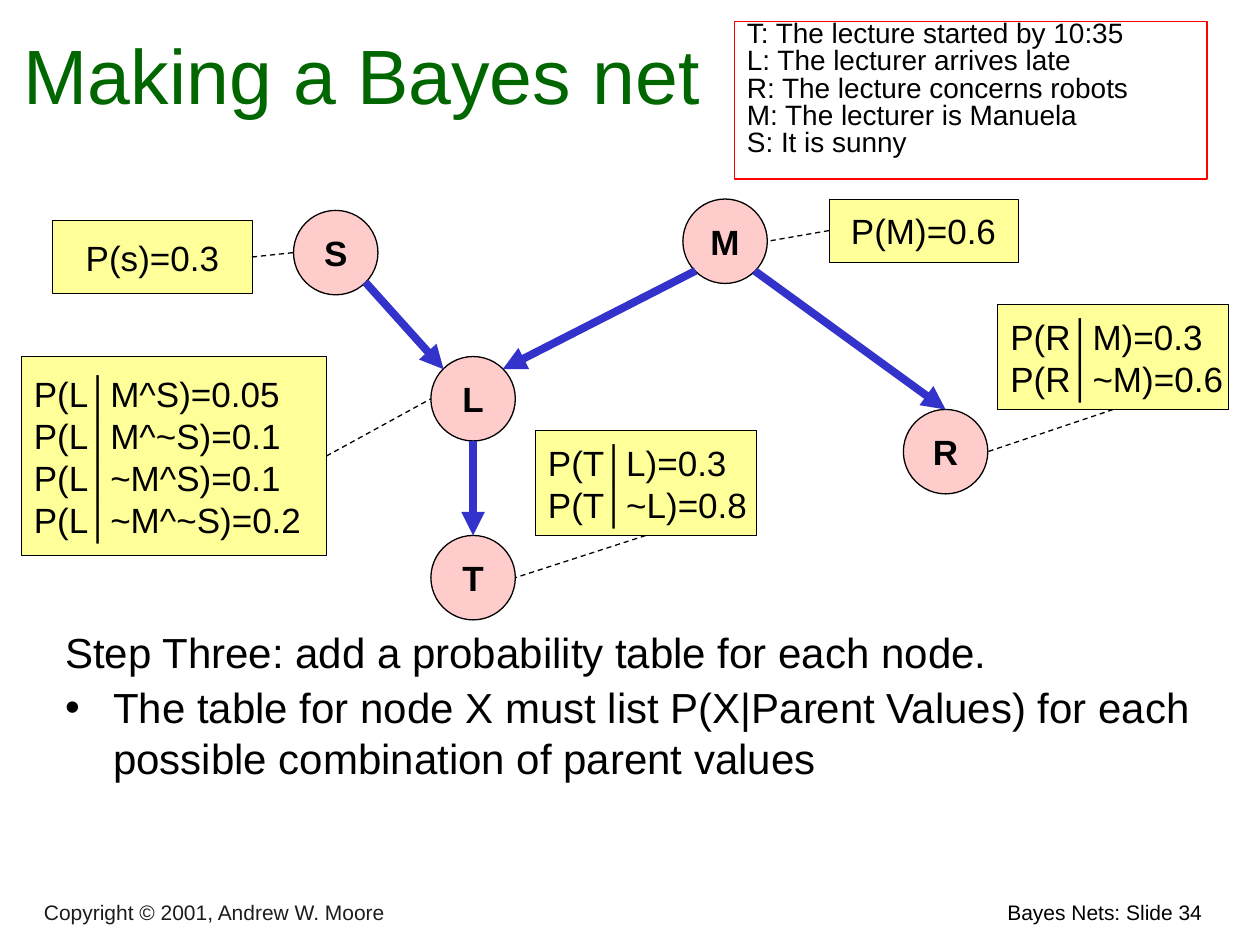
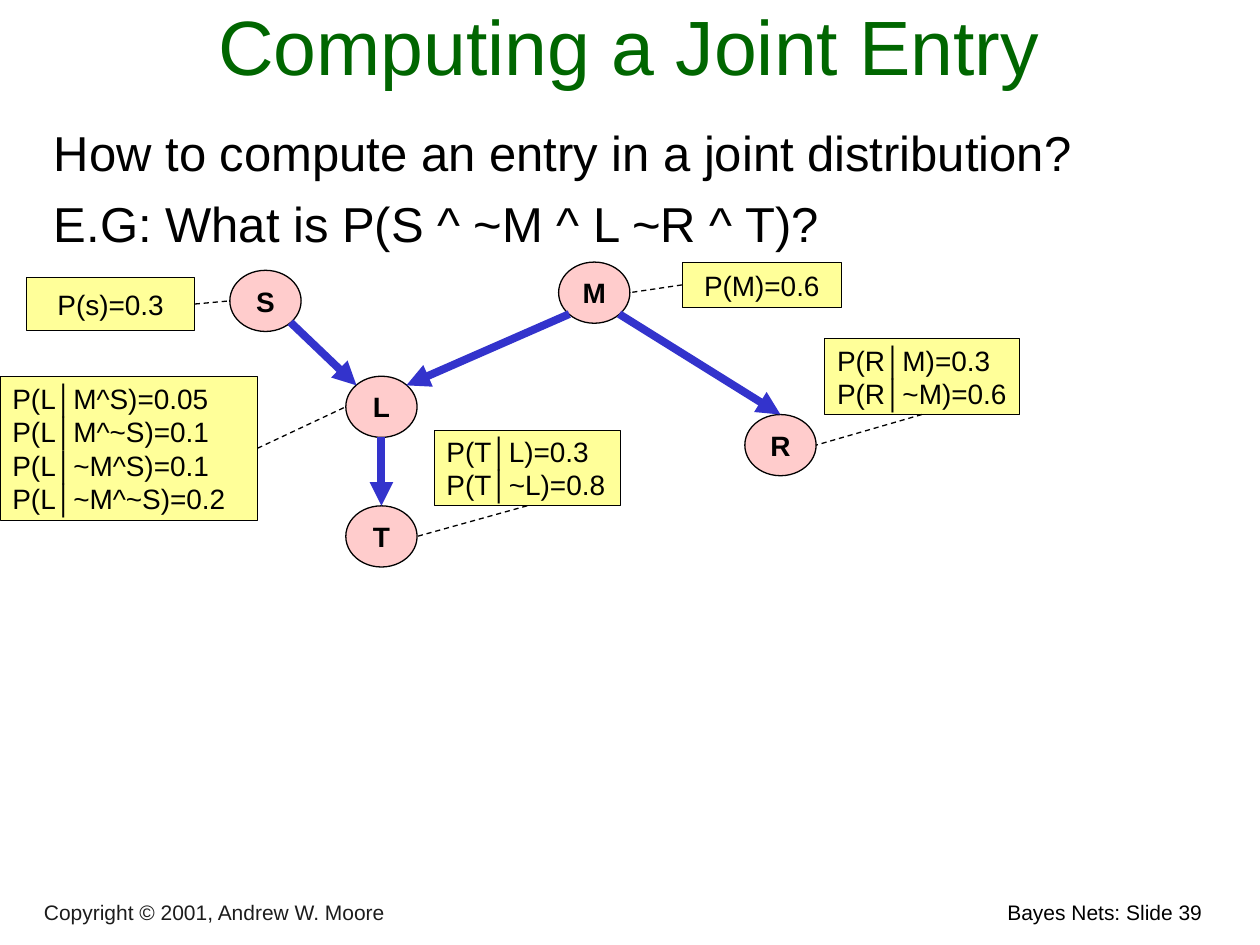
"""Build two slides that explain a Bayes net and its probability tables."""
from dataclasses import dataclass

from lxml.etree import SubElement
from pptx import Presentation
from pptx.dml.color import RGBColor
from pptx.enum.dml import MSO_LINE
from pptx.enum.shapes import MSO_CONNECTOR, MSO_SHAPE
from pptx.enum.text import MSO_ANCHOR, PP_ALIGN
from pptx.oxml.ns import qn
from pptx.util import Inches, Pt


@dataclass(frozen=True)
class Theme:
    face: str = "Arial"
    ink: str = "000000"
    title: str = "006600"
    credit: str = "1C1C1C"
    node: str = "FFCCCC"
    table: str = "FFFF99"
    arrow: str = "3333CC"
    key: str = "FF0000"
    title_size: int = 44
    foot_size: int = 12
    key_size: int = 16
    step_size: int = 24
    ask_size: int = 28


THEME = Theme()
LEFT, CENTER, RIGHT = PP_ALIGN.LEFT, PP_ALIGN.CENTER, PP_ALIGN.RIGHT

FRAME = (0.17, 1.58, 9.58, 3.34)
SMALL = (0, 2.08, 8.09, 2.42)
SIDE = 0.67
NODES = {
    "S": (2.33, 1.67),
    "M": (5.42, 1.58),
    "R": (7.17, 3.25),
    "L": (3.42, 2.83),
    "T": (3.42, 4.25),
}
TABLES = {
    "S": ((0.42, 1.75, 1.58, 0.58), ["P(s)=0.3"]),
    "M": ((6.58, 1.58, 1.5, 0.5), ["P(M)=0.6"]),
    "R": ((7.92, 2.42, 1.83, 0.83), ["P(R│M)=0.3", "P(R│~M)=0.6"]),
    "T": ((4.25, 3.42, 1.75, 0.83), ["P(T│L)=0.3", "P(T│~L)=0.8"]),
    "L": ((0.17, 2.83, 2.42, 1.58),
          ["P(L│M^S)=0.05", "P(L│M^~S)=0.1", "P(L│~M^S)=0.1", "P(L│~M^~S)=0.2"]),
}
NEAR, FAR = 0.15, 0.85
TOP, BASE, WEST, EAST = (0.5, 0), (0.5, 1), (0, 0.5), (1, 0.5)
ARROWS = [
    ("S", (FAR, FAR), "L", (NEAR, NEAR)),
    ("M", (NEAR, FAR), "L", (FAR, NEAR)),
    ("M", (FAR, FAR), "R", TOP),
    ("L", BASE, "T", TOP),
]
LEADS = {
    "T": (BASE, EAST),
    "R": (BASE, EAST),
    "M": (WEST, EAST),
    "S": (EAST, WEST),
    "L": (EAST, WEST),
}


def color(code):
    return RGBColor.from_string(code)


def place(box):
    return [Inches(value) for value in box]


def write(shape, lines, size, ink=THEME.ink, align=LEFT, anchor=MSO_ANCHOR.TOP,
          bold=False, gap=0, pitch=None, dots=()):
    frame = shape.text_frame
    frame.word_wrap = True
    frame.vertical_anchor = anchor
    for index, line in enumerate(lines):
        para = frame.paragraphs[0] if index == 0 else frame.add_paragraph()
        para.text = line
        para.alignment = align
        if index and gap:
            para.space_before = Pt(gap)
        if pitch:
            para.line_spacing = pitch
        if index in dots:
            add_dot(para)
        font = para.font
        font.name, font.size, font.bold = THEME.face, Pt(size), bold
        font.color.rgb = color(ink)


def add_dot(para):
    props = para._p.get_or_add_pPr()
    props.set("marL", str(Inches(0.38)))
    props.set("indent", str(-Inches(0.38)))
    SubElement(props, qn("a:buFont"), typeface=THEME.face)
    SubElement(props, qn("a:buChar"), char="•")


def add_text(slide, box, lines, size, **style):
    write(slide.shapes.add_textbox(*place(box)), lines, size, **style)


def add_box(slide, kind, box, fill, edge, width):
    shape = slide.shapes.add_shape(kind, *place(box))
    shape.shadow.inherit = False
    if fill:
        shape.fill.solid()
        shape.fill.fore_color.rgb = color(fill)
    else:
        shape.fill.background()
    shape.line.color.rgb = color(edge)
    shape.line.width = Pt(width)
    return shape


def add_node(slide, box, name, size):
    node = add_box(slide, MSO_SHAPE.OVAL, box, THEME.node, THEME.ink, 0.75)
    frame = node.text_frame
    frame.margin_left = frame.margin_right = 0
    write(node, [name], size, align=CENTER, anchor=MSO_ANCHOR.MIDDLE, bold=True)


def add_table(slide, box, lines, size):
    table = add_box(slide, MSO_SHAPE.RECTANGLE, box, THEME.table, THEME.ink, 0.5)
    align = CENTER
    if len(lines) > 1:
        align = LEFT
        table.text_frame.margin_right = 0
    write(table, lines, size, align=align, anchor=MSO_ANCHOR.MIDDLE)


def add_line(slide, start, end, ink, width):
    link = slide.shapes.add_connector(MSO_CONNECTOR.STRAIGHT, *place(start + end))
    link.line.color.rgb = color(ink)
    link.line.width = Pt(width)
    SubElement(link._element.spPr, qn("a:effectLst"))
    return link.line


def add_arrow(slide, start, end):
    line = add_line(slide, start, end, THEME.arrow, 4.5)
    SubElement(line._get_or_add_ln(), qn("a:tailEnd"), type="triangle")


def add_lead(slide, start, end):
    line = add_line(slide, start, end, THEME.ink, 0.75)
    line.dash_style = MSO_LINE.DASH


def fit(box, frame):
    left, top, width, height = FRAME
    across, down = frame[2] / width, frame[3] / height
    return (frame[0] + (box[0] - left) * across, frame[1] + (box[1] - top) * down,
            box[2] * across, box[3] * down)


def spot(box, part):
    return box[0] + box[2] * part[0], box[1] + box[3] * part[1]


def add_net(slide, frame, size):
    nodes = {name: fit((*at, SIDE, SIDE), frame) for name, at in NODES.items()}
    tables = {name: fit(box, frame) for name, (box, _) in TABLES.items()}
    for name, box in nodes.items():
        add_node(slide, box, name, size)
    for name, (_, lines) in TABLES.items():
        add_table(slide, tables[name], lines, size)
    for tail, leave, head, reach in ARROWS:
        add_arrow(slide, spot(nodes[tail], leave), spot(nodes[head], reach))
    for name, (leave, reach) in LEADS.items():
        add_lead(slide, spot(tables[name], leave), spot(nodes[name], reach))


def add_slide(deck, number, title, box):
    slide = deck.slides.add_slide(deck.slide_layouts[6])
    add_text(slide, (5.72, 7.09, 3.92, 0.3), [f"Bayes Nets: Slide {number}"],
             THEME.foot_size, align=RIGHT)
    add_text(slide, (0.25, 7.11, 5.55, 0.28), ["Copyright © 2001, Andrew W. Moore"],
             THEME.foot_size, ink=THEME.credit, anchor=MSO_ANCHOR.BOTTOM)
    add_text(slide, box, [title], THEME.title_size, ink=THEME.title,
             align=CENTER, anchor=MSO_ANCHOR.BOTTOM)
    return slide


def add_key(slide):
    key = add_box(slide, MSO_SHAPE.RECTANGLE, (5.83, 0.17, 3.75, 1.25),
                  None, THEME.key, 0.75)
    write(key, ["T: The lecture started by 10:35", "L: The lecturer arrives late",
                "R: The lecture concerns robots", "M: The lecturer is Manuela",
                "S: It is sunny"], THEME.key_size, gap=4, pitch=0.6)


def main():
    deck = Presentation()
    deck.slide_width, deck.slide_height = Inches(10), Inches(7.5)

    slide = add_slide(deck, 34, "Making a Bayes net", (0, 0.17, 5.75, 0.83))
    add_net(slide, FRAME, 20)
    add_text(slide, (0.42, 4.92, 9.17, 1.34),
             ["Step Three: add a probability table for each node.",
              "The table for node X must list P(X|Parent Values) for each "
              "possible combination of parent values"],
             THEME.step_size, gap=3, dots=(1,))
    add_key(slide)

    slide = add_slide(deck, 39, "Computing a Joint Entry", (0.08, 0.17, 9.83, 0.6))
    add_text(slide, (0.33, 0.92, 9.38, 1.17),
             ["How to compute an entry in a joint distribution?",
              "E.G: What is P(S ^ ~M ^ L ~R ^ T)?"], THEME.ask_size, gap=7)
    add_net(slide, SMALL, 16)

    deck.save("out.pptx")


if __name__ == "__main__":
    main()
